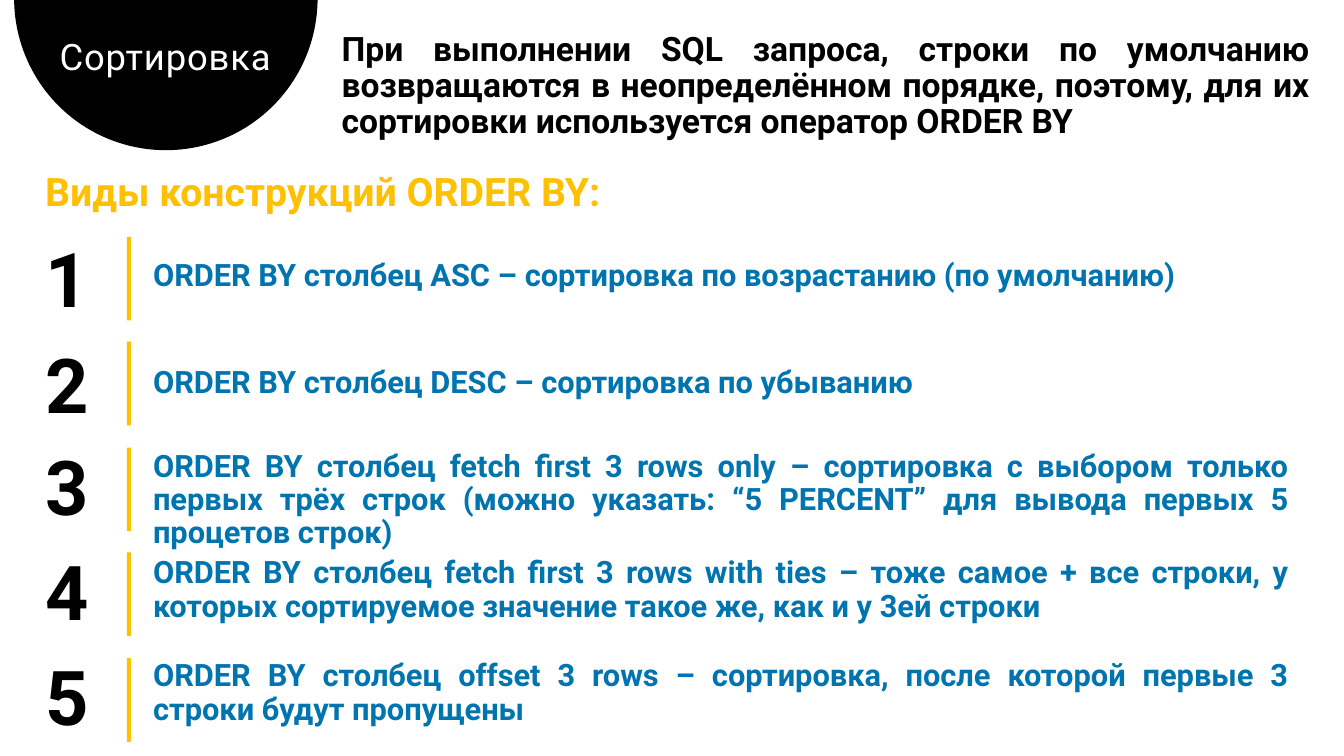
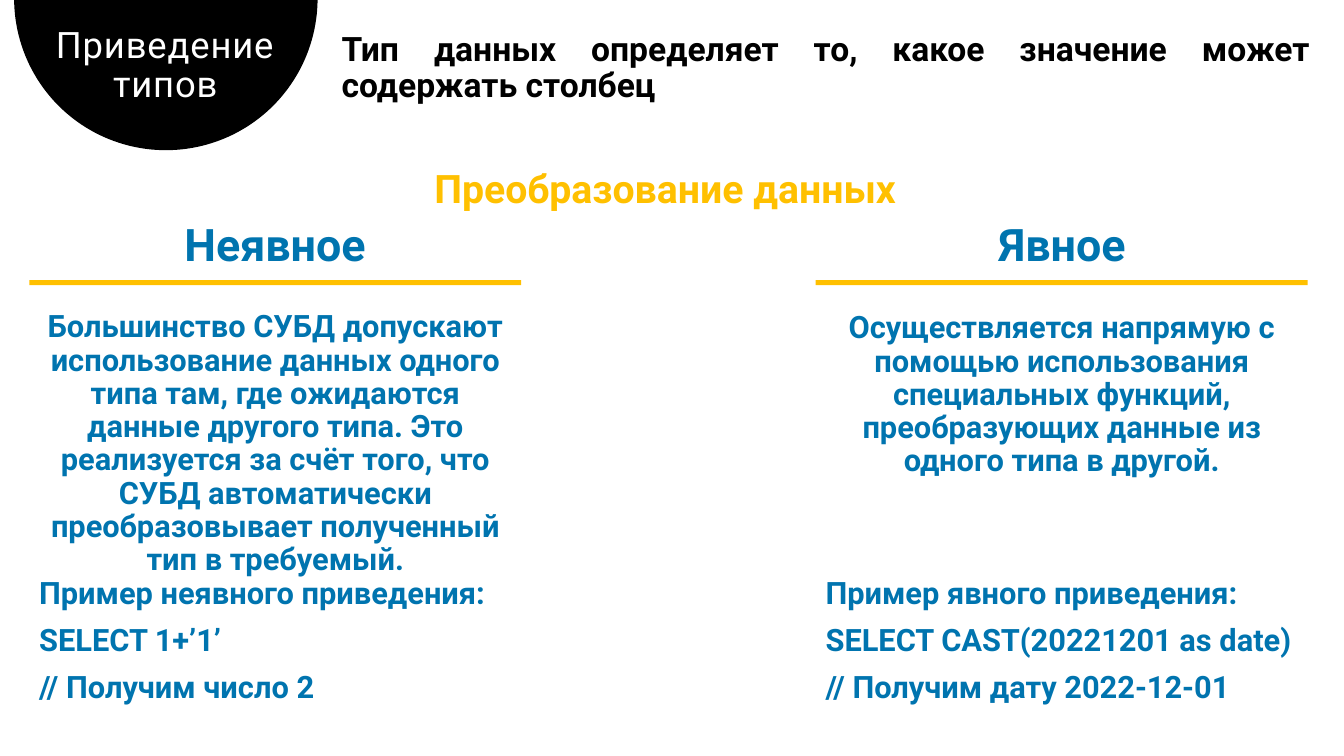
from math import cos, pi, sin

from pptx import Presentation
from pptx.dml.color import RGBColor
from pptx.enum.shapes import MSO_SHAPE
from pptx.enum.text import PP_ALIGN
from pptx.util import Pt

PX = 9144  # EMU in one px, 100 px to the inch
LEFT, CENTER, JUSTIFY = PP_ALIGN.LEFT, PP_ALIGN.CENTER, PP_ALIGN.JUSTIFY
RECTANGLE = MSO_SHAPE.RECTANGLE

FONT = "Roboto"
COLORS = {
    "black": "000000",
    "white": "FFFFFF",
    "blue": "0074AF",
    "yellow": "FFC000",
}


class Slides:
    """Holds the shared style and the slide being filled."""

    def __init__(self):
        self.deck = Presentation()
        self.deck.slide_width = 1333 * PX
        self.deck.slide_height = 750 * PX
        self.page = None

    def paint(self, shape, color):
        shape.shadow.inherit = False
        shape.fill.solid()
        shape.fill.fore_color.rgb = RGBColor.from_string(COLORS[color])
        shape.line.fill.background()

    def text(self, lines, left, top, width, height, size, color="blue",
             align=CENTER, bold=True, tracking=0):
        box = self.page.shapes.add_textbox(
            left * PX, top * PX, width * PX, height * PX)
        frame = box.text_frame
        frame.word_wrap = True
        frame.text = lines
        for index, para in enumerate(frame.paragraphs):
            para.alignment = align
            para.line_spacing = 0.9
            if index:
                para.space_before = Pt(10)
            for span in para.runs:
                span.font.name = FONT
                span.font.size = Pt(size)
                span.font.bold = bold
                span.font.color.rgb = RGBColor.from_string(COLORS[color])
                if tracking:
                    span.font._element.set("spc", str(tracking))

    def bar(self, left, top, width, height):
        shape = self.page.shapes.add_shape(
            RECTANGLE, left * PX, top * PX, width * PX, height * PX)
        self.paint(shape, "yellow")

    def badge(self):
        """Black disc cut off by the top edge of the slide."""
        center_x, center_y, radius, steps = 164.5, -1.5, 150.5, 90
        points = []
        for step in range(steps + 1):
            angle = pi * step / steps
            x = center_x + radius * cos(angle)
            y = max(0, center_y + radius * sin(angle))
            points.append((round(x * PX), round(y * PX)))
        builder = self.page.shapes.build_freeform(*points[0])
        builder.add_line_segments(points[1:])
        self.paint(builder.convert_to_shape(), "black")

    def start(self, title, title_top, title_height, intro):
        self.page = self.deck.slides.add_slide(self.deck.slide_layouts[6])
        self.badge()
        self.text(title, 34, title_top, 260, title_height, 26, "white",
                  bold=False, tracking=60)
        self.text(intro, 329, 27, 980, 119, 24, "black", JUSTIFY)

    def heading(self, words, left, top, width):
        self.text(words, left, top, width, 53, 28, "yellow", JUSTIFY)

    def item(self, index, number_top, words, words_top):
        self.text(str(index + 1), 35, number_top, 57, 82, 54, "black")
        self.bar(126, 235 + index * 209 // 2, 4, 83)
        self.text(words, 142, words_top, 1146, 82, 22, align=JUSTIFY)

    def column(self, left, name, name_left, name_width, words, words_top,
               example):
        self.text(name, name_left, 216, name_width, 65, 32)
        self.bar(left, 278, 488, 5)
        self.text(words, left, words_top, 488, 244, 22)
        self.text(example, left, 568, 488, 138, 22, align=LEFT)


# Number top, words, words top
SORT_ITEMS = [
    (235, "ORDER BY столбец ASC – сортировка по возрастанию (по умолчанию)",
     253),
    (340, "ORDER BY столбец DESC – сортировка по убыванию", 359),
    (442, "ORDER BY столбец fetch first 3 rows only – сортировка с выбором "
          "только первых трёх строк (можно указать: “5 PERCENT” для вывода "
          "первых 5 процетов строк)", 442),
    (546, "ORDER BY столбец fetch first 3 rows with ties – тоже самое + все "
          "строки, у которых сортируемое значение такое же, как и у 3ей "
          "строки", 548),
    (650, "ORDER BY столбец offset 3 rows – сортировка, после которой первые "
          "3 строки будут пропущены", 650),
]


def main():
    slides = Slides()

    # Sorting
    slides.start(
        "Сортировка", 34, 49,
        "При выполнении SQL запроса, строки по умолчанию возвращаются в "
        "неопределённом порядке, поэтому, для их сортировки используется "
        "оператор ORDER BY")
    slides.heading("Виды конструкций ORDER BY:", 35, 166, 600)
    for index, (number_top, words, words_top) in enumerate(SORT_ITEMS):
        slides.item(index, number_top, words, words_top)

    # Type conversion
    slides.start(
        "Приведение\vтипов", 22, 89,
        "Тип данных определяет то, какое значение может содержать столбец")
    slides.heading("Преобразование данных", 421, 163, 516)
    slides.column(
        29, "Неявное", 168, 210,
        "Большинство СУБД допускают использование данных одного типа там, "
        "где ожидаются данные другого типа. Это реализуется за счёт того, "
        "что СУБД автоматически преобразовывает полученный тип в требуемый.",
        304,
        "Пример неявного приведения:\nSELECT 1+’1’\n// Получим число 2")
    slides.column(
        809, "Явное", 967, 173,
        "Осуществляется напрямую с помощью использования специальных "
        "функций, преобразующих данные из одного типа в другой.",
        305,
        "Пример явного приведения:\nSELECT CAST(20221201 as date)\n"
        "// Получим дату 2022-12-01")

    slides.deck.save("out.pptx")


if __name__ == "__main__":
    main()
